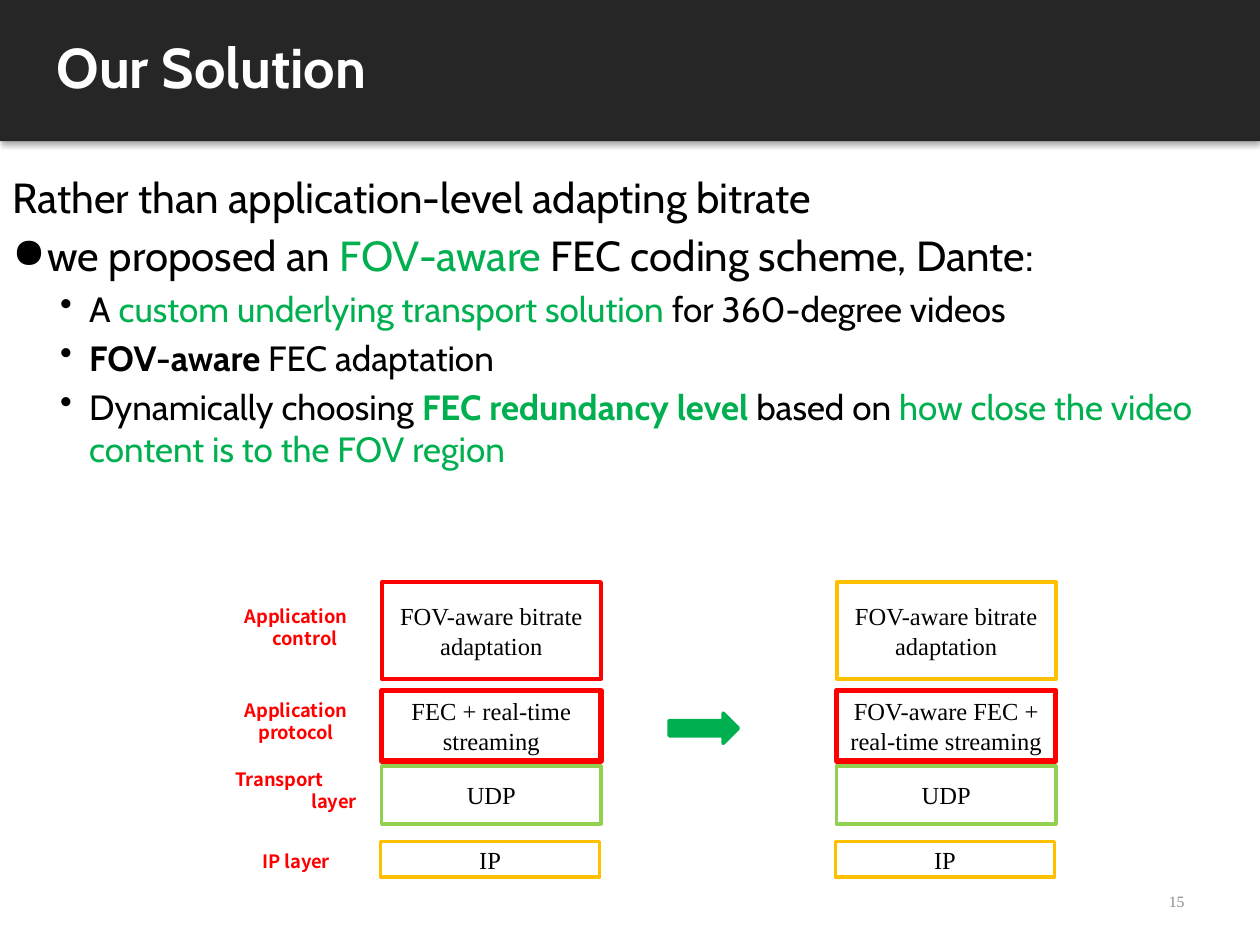
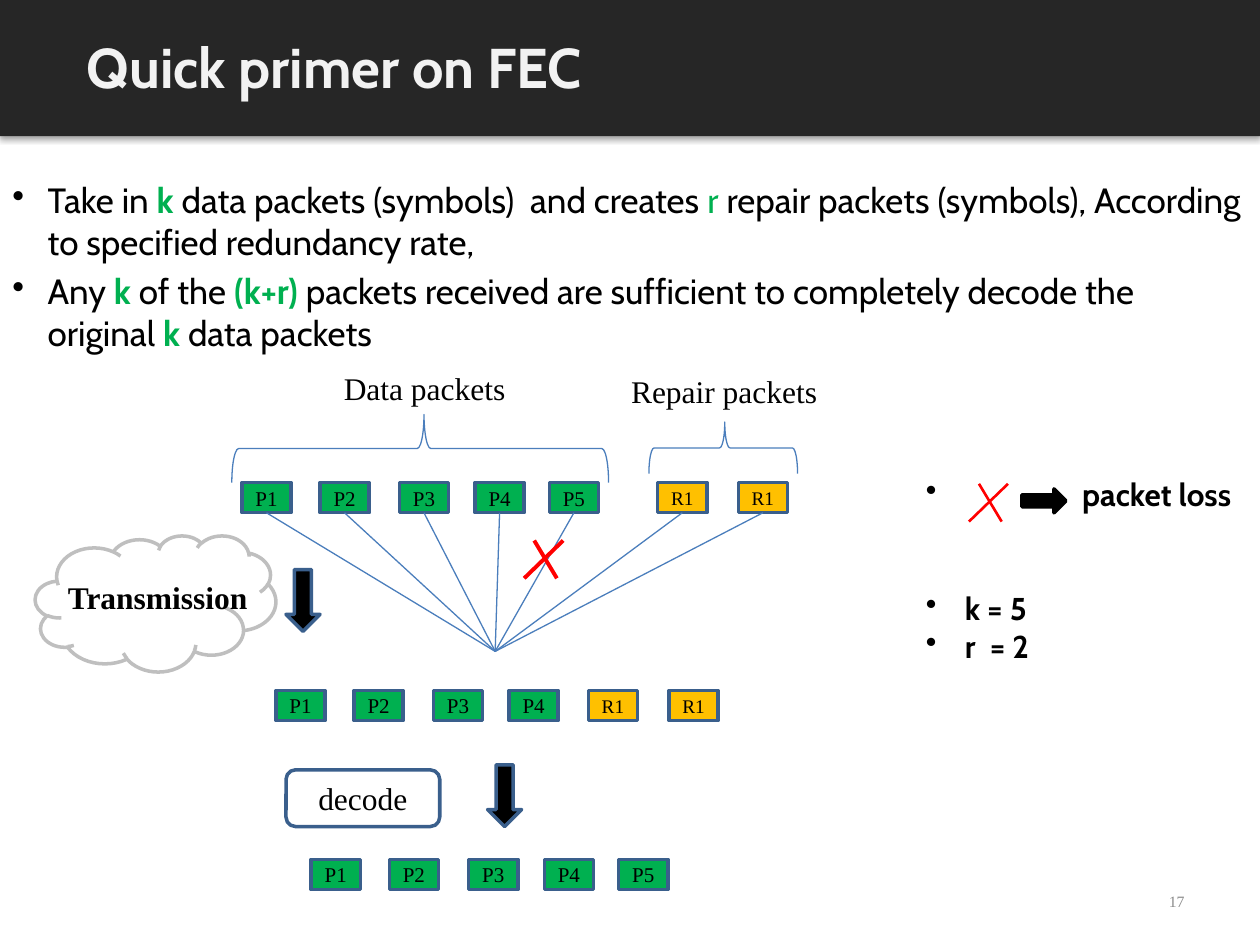
from lxml.etree import SubElement
from pptx import Presentation
from pptx.dml.color import RGBColor
from pptx.enum.shapes import MSO_CONNECTOR, MSO_SHAPE as SHAPE
from pptx.enum.text import MSO_ANCHOR as ANCHOR, MSO_AUTO_SIZE, PP_ALIGN as ALIGN
from pptx.oxml.ns import qn
from pptx.util import Emu, Pt

PX = 9144  # 100 px to the inch
CABIN, TIMES, NOTO = "Cabin", "Times New Roman", "Noto Sans CJK SC"
BLACK, WHITE, DARK, GRAY = "000000", "FFFFFF", "262626", "8C8C8C"
RED, GREEN, LIME, AMBER = "FF0000", "00B050", "92D050", "FFC000"
NAVY, BLUE, SILVER = "3A5F8C", "4B7EBC", "BFBFBF"


def px(n):
    return Emu(round(n * PX))


def rgb(value):
    return RGBColor.from_string(value)


def place(sp, x, y, w, h):
    for name, n in {"left": x, "top": y, "width": w, "height": h}.items():
        setattr(sp, name, px(n))


# ---- text ----
def para(*runs, bullet=None, margin=0, indent=0, **fmt):
    """A run is a string, or a tuple of text and font overrides."""
    return dict(runs=runs, bullet=bullet, margin=margin, indent=indent, fmt=fmt)


def green(text, bold=False):
    return text, {"color": GREEN, "bold": bold}


def bold(text):
    return text, {"bold": True}


def write(tf, paras, size=14, font=TIMES, color=BLACK, **fmt):
    tf.word_wrap = True
    for i, item in enumerate(paras):
        p = tf.paragraphs[0] if i == 0 else tf.add_paragraph()
        for name, value in {"alignment": ALIGN.LEFT, **item["fmt"]}.items():
            setattr(p, name, value)
        pPr = p._p.get_or_add_pPr()
        pPr.set("marL", str(px(item["margin"])))
        pPr.set("indent", str(px(item["indent"])))
        if item["bullet"]:
            SubElement(pPr, qn("a:buChar")).set("char", item["bullet"])
        for run in item["runs"]:
            text, own = (run, {}) if isinstance(run, str) else run
            look = {"name": font, "size": size, "color": color, **fmt, **own}
            r = p.add_run()
            r.text = text
            r.font.color.rgb = rgb(look.pop("color"))
            r.font.size = Pt(look.pop("size"))
            for name, value in look.items():
                setattr(r.font, name, value)


def text_box(s, x, y, w, h, paras, anchor=ANCHOR.TOP, **fmt):
    tf = s.shapes.add_textbox(px(x), px(y), px(w), px(h)).text_frame
    tf.vertical_anchor = anchor
    write(tf, paras, **fmt)


# ---- shapes and lines ----
def shape(s, kind, x, y, w, h, fill=None, line=None, width=2, text=None, size=14):
    sp = s.shapes.add_shape(kind, px(x), px(y), px(w), px(h))
    sp.shadow.inherit = False
    for part, color in ((sp.fill, fill), (sp.line.fill, line)):
        if color:
            part.solid()
            part.fore_color.rgb = rgb(color)
        else:
            part.background()
    if line:
        sp.line.width = Pt(width)
    if text:
        sp.text_frame.vertical_anchor = ANCHOR.MIDDLE
        write(sp.text_frame, [para(text, alignment=ALIGN.CENTER)], size=size)
    return sp


def straight(s, x1, y1, x2, y2, color, width):
    cxn = s.shapes.add_connector(MSO_CONNECTOR.STRAIGHT, px(x1), px(y1), px(x2), px(y2))
    cxn.line.color.rgb = rgb(color)
    cxn.line.width = Pt(width)
    SubElement(cxn._element.spPr, qn("a:effectLst"))
    return cxn


def cross(s, x, y, width):
    straight(s, x + 31, y, x, y + 30, RED, width)
    straight(s, x + 8, y, x + 26, y + 30, RED, width)


def brace(s, x, y, w, h):
    """A brace opening downwards that fills the given box."""
    sp = shape(s, SHAPE.LEFT_BRACE, x + (w - h) / 2, y + (h - w) / 2, h, w,
               line=BLUE, width=0.75)
    sp.rotation = 90
    sp.adjustments[0], sp.adjustments[1] = 0.1, 0.49


# ---- shared frame of a slide ----
def new_slide(prs, title, number, title_x, title_color, band_y, band_h):
    s = prs.slides.add_slide(prs.slide_layouts[5])
    # Band with a soft shadow, behind the title
    band = shape(s, SHAPE.RECTANGLE, 0, band_y, 1000, band_h, fill=DARK)
    effects = band._element.spPr.find(qn("a:effectLst"))
    shadow = SubElement(effects, qn("a:outerShdw"), blurRad=str(Pt(3.1)),
                        dist=str(Pt(1.8)), dir="5400000", rotWithShape="0")
    color = SubElement(shadow, qn("a:srgbClr"), val=BLACK)
    SubElement(color, qn("a:alpha"), val="35000")
    s.shapes.title._element.addprevious(band._element)
    # Title
    place(s.shapes.title, title_x, 21, 667, 64)
    tf = s.shapes.title.text_frame
    tf.auto_size = MSO_AUTO_SIZE.NONE
    tf.vertical_anchor = ANCHOR.TOP
    write(tf, [para(title)], size=32, font=CABIN, color=title_color, bold=True)
    # Page number
    text_box(s, 717, 695, 233, 40, [para(number, alignment=ALIGN.RIGHT)],
             anchor=ANCHOR.MIDDLE, size=9, color=GRAY)
    return s


# ---- solution slide ----
def layer_labels(s, x, y):
    center, left, right = ALIGN.CENTER, ALIGN.LEFT, ALIGN.RIGHT
    labels = [
        (0, [("Application", center, 0), ("control", center, 14)]),
        (75, [("Application protocol", center, 0)]),
        (130, [("Transport", left, 0), ("layer", right, 0)]),
        (195, [("IP layer", center, 0)]),
    ]
    for dy, lines in labels:
        paras = [para(text, alignment=align, margin=margin, line_spacing=Pt(12.6))
                 for text, align, margin in lines]
        text_box(s, x, y + dy, 116, 45, paras, size=10.5, font=NOTO, color=RED, bold=True)


def layer_stack(s, x, y, control_color, protocol):
    layers = [
        (0, 0, 77, "FOV-aware bitrate adaptation", control_color, 2.25),
        (0, 86, 56, protocol, RED, 3),
        (0, 146, 46, "UDP", LIME, 2),
        (-1, 206, 28, "IP", AMBER, 2),
    ]
    for dx, dy, h, text, color, width in layers:
        shape(s, SHAPE.RECTANGLE, x + dx, y + dy, 174, h, line=color, width=width, text=text)


def solution_slide(prs):
    s = new_slide(prs, "Our Solution", "15", 35, WHITE, -3, 115)
    top = dict(space_before=Pt(4.8))
    sub = dict(bullet="•", margin=61, indent=-23, space_before=Pt(4))
    small = {"size": 20}

    def points(*runs):
        pairs = [(run, {}) if isinstance(run, str) else run for run in runs]
        return para(*[(text, {**small, **own}) for text, own in pairs], **sub)

    text_box(s, 0, 131, 1000, 316, [
        para("Rather than application-level adapting bitrate", **top),
        para("we proposed an ", green("FOV-aware"), " FEC coding scheme, Dante:",
             bullet="●", margin=28, indent=-28, **top),
        points("A ", green("custom underlying transport solution "),
               "for 360-degree videos"),
        points(bold("FOV-aware "), "FEC adaptation"),
        points("Dynamically choosing ", green("FEC redundancy level ", True), "based on ",
               green("how close the video content is to the FOV region")),
    ], size=24, font=CABIN)
    # Protocol layers before and after
    layer_labels(s, 177, 475)
    layer_stack(s, 303, 462, RED, "FEC + real-time streaming")
    layer_stack(s, 664, 462, AMBER, "FOV-aware FEC + real-time streaming")
    shape(s, SHAPE.RIGHT_ARROW, 531, 566, 55, 24, fill=GREEN, line=GREEN)


# ---- primer slide ----
def packet_row(s, x, y, data_count, repair_x=None):
    """Data packets from x on, then two repair packets from repair_x on."""
    steps = (0, 62, 125, 185, 244)
    packets = [(x + dx, f"P{i}", GREEN, 12)
               for i, dx in enumerate(steps[:data_count], 1)]
    if repair_x:
        packets += [(repair_x + dx, "R1", AMBER, 11) for dx in (0, 64)]
    return [shape(s, SHAPE.RECTANGLE, left, y, 39, 24, fill=color, line=NAVY,
                  text=text, size=size)
            for left, text, color, size in packets]


def encoded_packets(s, x, y):
    brace(s, x, y + 41, 299, 54)
    brace(s, x + 331, y + 47, 118, 41)
    text_box(s, x + 79, y, 161, 40, [para("Data packets")], size=18)
    text_box(s, x + 307, y + 2, 181, 40, [para("Repair packets")], size=18)
    for sp in packet_row(s, x + 8, y + 95, 5, x + 338):
        cxn = straight(s, x, y, x + 209, y + 229, BLUE, 0.75)
        cxn.begin_connect(sp, 2)
    cross(s, x + 232, y + 141, 2.25)


def transmission(s, x, y):
    shape(s, SHAPE.CLOUD, x, y, 191, 108, fill=WHITE, line=SILVER)
    text_box(s, x + 16, y + 29, 172, 40, [para("Transmission")], size=18, bold=True)
    down_arrow(s, x + 199, y + 27)


def down_arrow(s, x, y):
    shape(s, SHAPE.DOWN_ARROW, x, y, 27, 49, fill=BLACK, line=NAVY)


def legend(s, x, y):
    item = dict(bullet="•", margin=31, indent=-31)
    text_box(s, x, y, 274, 162, [
        para("packet loss", bullet="•", margin=124, indent=-124),
        para("k = 5", space_before=Pt(43.8), **item),
        para("r  = 2", **item),
    ], size=18, font=CABIN, bold=True)
    cross(s, x + 44, y + 12, 1.5)
    shape(s, SHAPE.RIGHT_ARROW, x + 86, y + 16, 35, 19, fill=BLACK, line=BLACK)


def primer_slide(prs):
    s = new_slide(prs, "Quick primer on FEC", "17", 59, "F2F2F2", 0, 108)
    item = dict(bullet="•", margin=28, indent=-28, space_before=Pt(4))
    text_box(s, 0, 137, 1000, 489, [
        para("Take in ", green("k", True), " data packets (symbols)  and creates ",
             green("r"), " repair packets (symbols), According to specified redundancy rate,",
             **item),
        para("Any ", green("k", True), " of the ", green("(k+r)", True),
             " packets received are sufficient to completely decode the original ",
             green("k", True), " data packets", **item),
    ], size=20, font=CABIN)
    encoded_packets(s, 184, 288)
    transmission(s, 28, 425)
    legend(s, 725, 372)
    # Received packets, decoding and recovered packets
    packet_row(s, 219, 548, 4, 467)
    shape(s, SHAPE.ROUNDED_RECTANGLE, 227, 611, 122, 45, line=NAVY, text="decode", size=18)
    down_arrow(s, 387, 607)
    packet_row(s, 247, 682, 5)


def main():
    prs = Presentation()
    prs.slide_width, prs.slide_height = px(1000), px(750)
    solution_slide(prs)
    primer_slide(prs)
    prs.save("out.pptx")


if __name__ == "__main__":
    main()
